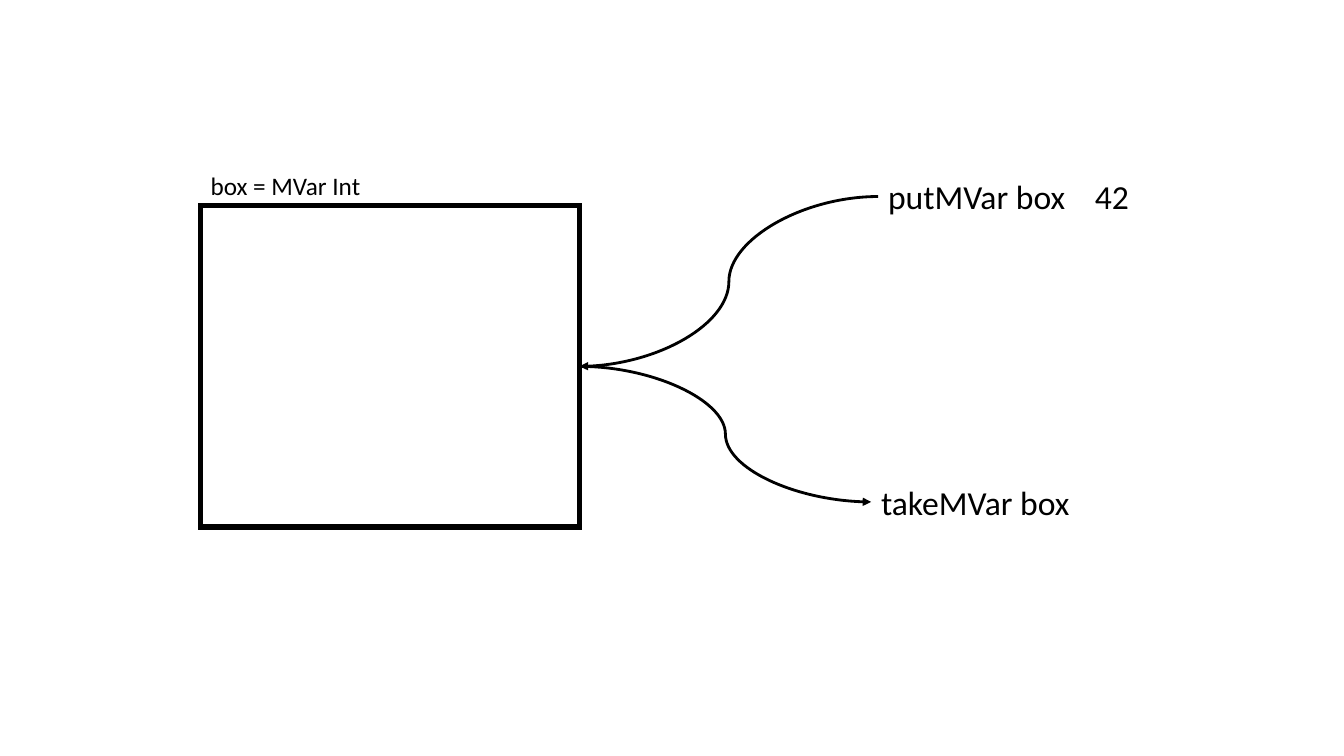
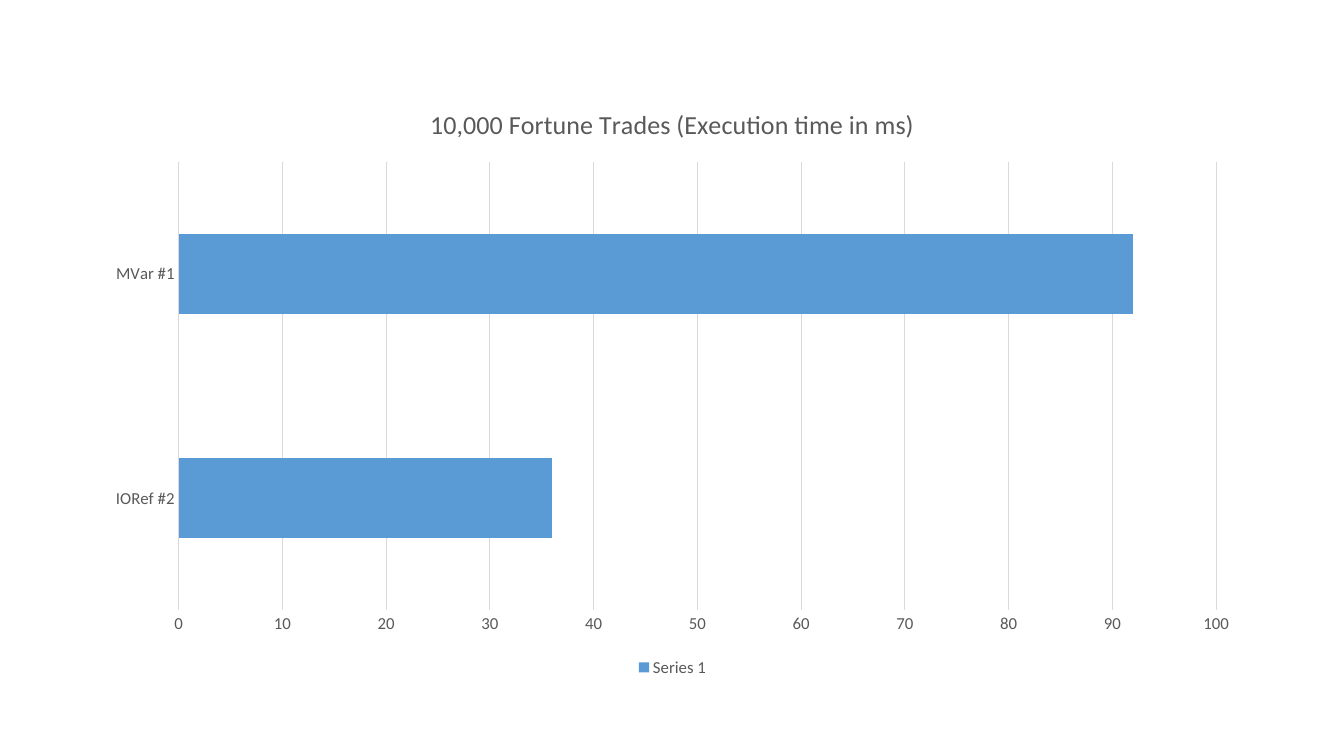
"""Build two slides: an MVar box diagram and a run time chart."""
import dataclasses

import lxml.etree
import pptx
import pptx.chart.data
import pptx.dml.color
import pptx.enum.chart
import pptx.enum.shapes
import pptx.enum.text
import pptx.oxml.ns
import pptx.util

Inches = pptx.util.Inches
Pt = pptx.util.Pt
RGB = pptx.dml.color.RGBColor
LEFT, RIGHT = 1, 3


@dataclasses.dataclass(frozen=True)
class Theme:
    """Colours, font and type sizes of the deck."""
    ink: RGB = RGB(0x00, 0x00, 0x00)
    paper: RGB = RGB(0xFF, 0xFF, 0xFF)
    grey: RGB = RGB(0x59, 0x59, 0x59)
    rule: RGB = RGB(0xD9, 0xD9, 0xD9)
    bar: RGB = RGB(0x5B, 0x9B, 0xD5)
    face: str = "Calibri"
    name: float = 18
    call: float = 24
    head: float = 18.6
    tick: float = 12
    base: float = 10


THEME = Theme()


def style(font, size, tone):
    """Set the face, size and colour of a font."""
    font.name = THEME.face
    font.size = Pt(size)
    font.color.rgb = tone


def add(parent, tag, **marks):
    """Append an XML child with the given marks."""
    lxml.etree.SubElement(parent, pptx.oxml.ns.qn(tag), marks)


def label(slide, text, x, y, w, h, size, wrap=False):
    """Place a text box that grows with its text."""
    box = slide.shapes.add_textbox(Inches(x), Inches(y), Inches(w), Inches(h))
    frame = box.text_frame
    frame.word_wrap = wrap
    frame.auto_size = pptx.enum.text.MSO_AUTO_SIZE.SHAPE_TO_FIT_TEXT
    run = frame.paragraphs[0].add_run()
    run.text = text
    style(run.font, size, THEME.ink)
    return box


def frame(slide, x, y, w, h):
    """Draw the box that holds the value."""
    box = slide.shapes.add_shape(
        pptx.enum.shapes.MSO_SHAPE.RECTANGLE,
        Inches(x), Inches(y), Inches(w), Inches(h))
    box.shadow.inherit = False
    box.fill.solid()
    box.fill.fore_color.rgb = THEME.paper
    box.line.color.rgb = THEME.ink
    box.line.width = Pt(4)
    add(box.line._get_or_add_ln(), "a:miter", lim="800000")
    return box


def arrow(slide, start, leave, end, enter):
    """Join two shapes with a curved arrow."""
    curve = slide.shapes.add_connector(
        pptx.enum.shapes.MSO_CONNECTOR.CURVE, 0, 0, 0, 0)
    curve.begin_connect(start, leave)
    curve.end_connect(end, enter)
    curve.line.color.rgb = THEME.ink
    curve.line.width = Pt(2)
    add(curve.line._get_or_add_ln(), "a:tailEnd", type="triangle")
    add(curve._element.spPr, "a:effectLst")


def draw_box(slide, x, y, w, h):
    """Draw the MVar box with its put and take calls."""
    box = frame(slide, x, y, w, h)
    label(slide, "box = MVar Int", x, y - 0.4, 1.7, 0.4, THEME.name)
    put_x, put_y, put_w = x + w + 2.96, y - 0.34, 2.05
    put = label(slide, "putMVar box", put_x, put_y, put_w, 0.5, THEME.call)
    label(slide, "42", put_x + put_w, put_y, 0.59, 0.5, THEME.call, True)
    take = label(slide, "takeMVar box", x + w + 2.89, y + h - 0.5,
                 2.16, 0.5, THEME.call)
    arrow(slide, put, LEFT, box, RIGHT)
    arrow(slide, box, RIGHT, take, LEFT)


def draw_chart(slide, x, y, w, h):
    """Draw the bar chart of run times."""
    data = pptx.chart.data.CategoryChartData()
    data.categories = ["IORef #2", "MVar #1"]
    data.add_series("Series 1", [36, 92])
    kinds = pptx.enum.chart
    chart = slide.shapes.add_chart(
        kinds.XL_CHART_TYPE.BAR_CLUSTERED,
        Inches(x), Inches(y), Inches(w), Inches(h), data).chart
    style(chart.font, THEME.base, THEME.ink)

    head = chart.chart_title.text_frame.paragraphs[0]
    run = head.add_run()
    run.text = "10,000 Fortune Trades (Execution time in ms)"
    for font in (head.font, run.font):
        style(font, THEME.head, THEME.grey)
        font.bold = False
    chart.chart_title.include_in_layout = False

    chart.has_legend = True
    chart.legend.position = kinds.XL_LEGEND_POSITION.BOTTOM
    chart.legend.include_in_layout = False
    style(chart.legend.font, THEME.tick, THEME.grey)

    plot = chart.plots[0]
    plot.gap_width = 182
    plot.vary_by_categories = False
    fill = plot.series[0].format.fill
    fill.solid()
    fill.fore_color.rgb = THEME.bar

    cats, vals = chart.category_axis, chart.value_axis
    for axis in (cats, vals):
        axis.major_tick_mark = kinds.XL_TICK_MARK.NONE
        axis.minor_tick_mark = kinds.XL_TICK_MARK.NONE
        style(axis.tick_labels.font, THEME.tick, THEME.grey)
    vals.minimum_scale, vals.maximum_scale, vals.major_unit = 0, 100, 10
    vals.format.line.fill.background()
    vals.has_major_gridlines = True
    for line in (cats.format.line, vals.major_gridlines.format.line):
        line.color.rgb = THEME.rule
        line.width = Pt(0.75)


def main():
    """Build and save the deck."""
    deck = pptx.Presentation()
    deck.slide_width, deck.slide_height = Inches(13.33), Inches(7.5)
    blank = deck.slide_layouts[6]
    draw_box(deck.slides.add_slide(blank), 1.99, 2.04, 3.76, 3.19)
    draw_chart(deck.slides.add_slide(blank), 0.92, 0.84, 11.5, 5.92)
    deck.save("out.pptx")


if __name__ == "__main__":
    main()
